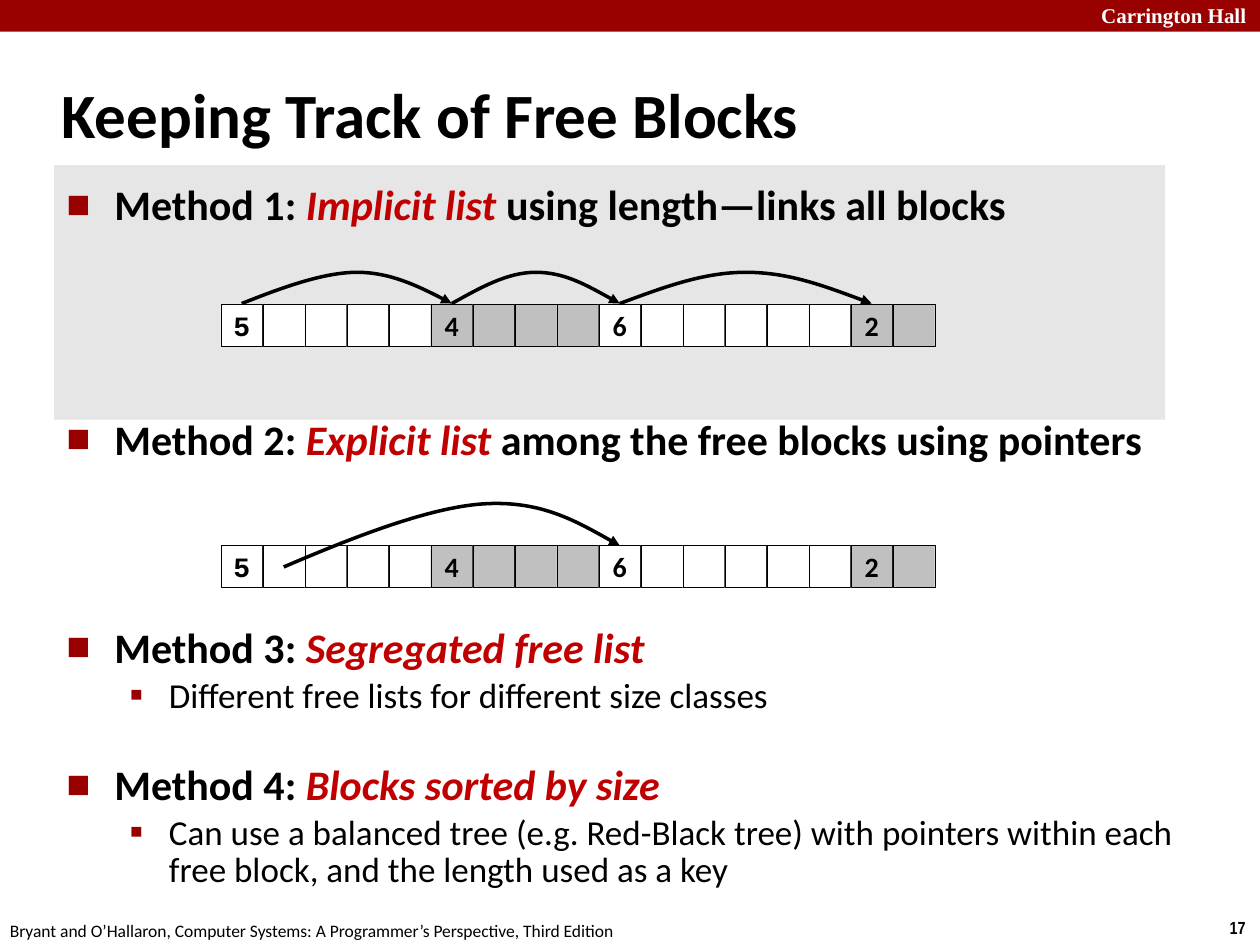
"""Build the slide on four ways of keeping track of free blocks."""
from lxml.etree import SubElement
from pptx import Presentation
from pptx.dml.color import RGBColor
from pptx.enum.shapes import MSO_SHAPE
from pptx.enum.text import MSO_ANCHOR, MSO_AUTO_SIZE, PP_ALIGN
from pptx.oxml.ns import qn
from pptx.util import Cm, Pt

BLACK = RGBColor(0, 0, 0)
WHITE = RGBColor(255, 255, 255)
MAROON = RGBColor(0x99, 0, 0)
RED = RGBColor(0xC0, 0, 0)
PALE = RGBColor(0xE6, 0xE6, 0xE6)
GREY = RGBColor(0xC0, 0xC0, 0xC0)


def write(para, text, size, color=BLACK, name="Calibri", bold=False, italic=False):
    run = para.add_run()
    run.text = text
    style = {"size": Pt(size), "name": name, "bold": bold, "italic": italic}
    for key, value in style.items():
        setattr(run.font, key, value)
    run.font.color.rgb = color


def block(left, top, width, height, fill):
    shape = slide.shapes.add_shape(MSO_SHAPE.RECTANGLE, left, top, width, height)
    shape.shadow.inherit = False
    shape.fill.solid()
    shape.fill.fore_color.rgb = fill
    shape.line.fill.background()
    return shape


deck = Presentation()
deck.slide_width, deck.slide_height = Cm(25.4), Cm(19.05)
slide = deck.slides.add_slide(deck.slide_layouts[1])
title, body = slide.placeholders

frames = [
    (title, MSO_ANCHOR.MIDDLE, {"left": 0.99, "top": 1.22, "width": 21.08, "height": 2.11}),
    (body, MSO_ANCHOR.TOP, {"left": 1.09, "top": 3.48, "width": 23.04, "height": 14.94}),
]
for holder, anchor, place in frames:
    for key, value in place.items():
        setattr(holder, key, Cm(value))
    holder.text_frame.auto_size = MSO_AUTO_SIZE.NONE
    holder.text_frame.vertical_anchor = anchor

band = block(0, 0, Cm(25.4), Cm(0.64), MAROON)
panel = block(Cm(1.09), Cm(3.33), Cm(22.4), Cm(5.13), PALE)
for shape in (band, panel):
    title.element.addprevious(shape.element)

head = title.text_frame.paragraphs[0]
head.alignment = PP_ALIGN.LEFT
write(head, "Keeping Track of Free Blocks", 36, bold=True)

notes = [
    (21.95, -0.08, 3.63, True, PP_ALIGN.LEFT, "Carrington Hall", 12, WHITE, "Times New Roman", True),
    (24.54, 18.36, 0.86, False, PP_ALIGN.LEFT, "17", 10, BLACK, "Arial Narrow", True),
    (-0.05, 18.42, 12.9, False, PP_ALIGN.LEFT,
     "Bryant and O’Hallaron, Computer Systems: A Programmer’s Perspective, Third Edition",
     10, BLACK, "Calibri", False),
]
for left, top, width, wrap, align, *style in notes:
    box = slide.shapes.add_textbox(Cm(left), Cm(top), Cm(width), Cm(0.7))
    box.text_frame.word_wrap = wrap
    para = box.text_frame.paragraphs[0]
    para.alignment = align
    write(para, *style)

levels = [
    {"size": 24, "left": 0.96, "hang": 0.96, "char": "■", "scale": 60},
    {"size": 20, "left": 2.06, "hang": 0.79, "char": "▪", "scale": 110},
]
items = [
    (0, 4.8, 1.0, ["Method 1: ", "Implicit list ", "using length—links all blocks"]),
    (0, 105, 1.0, ["Method 2: ", "Explicit list ", "among the free blocks using pointers"]),
    (0, 95, 0.83, ["Method 3: ", "Segregated free list"]),
    (1, 4, 0.88, ["Different free lists for different size classes"]),
    (0, 29.5, 0.83, ["Method 4: ", "Blocks sorted by size"]),
    (1, 4, 0.88, ["Can use a balanced tree (e.g. Red-Black tree) with pointers within each "
                  "free block, and the length used as a key"]),
]
for index, (level, before, pitch, parts) in enumerate(items):
    text = body.text_frame
    para = text.add_paragraph() if index else text.paragraphs[0]
    look = levels[level]
    for key, value in {"level": level, "space_before": Pt(before), "line_spacing": pitch}.items():
        setattr(para, key, value)
    for place, part in enumerate(parts):
        key = place == 1
        write(para, part, look["size"], RED if key else BLACK, bold=level == 0, italic=key)
    props = para._p.get_or_add_pPr()
    props.set("marL", str(Cm(look["left"])))
    props.set("indent", str(-Cm(look["hang"])))
    SubElement(SubElement(props, qn("a:buClr")), qn("a:srgbClr"), val=str(MAROON))
    SubElement(props, qn("a:buSzPct"), val=str(look["scale"] * 1000))
    SubElement(props, qn("a:buFont"), typeface="Calibri")
    SubElement(props, qn("a:buChar"), char=look["char"])

SIDE = Cm(2.54) // 3
START = Cm(4.45)
runs = [(5, WHITE), (4, GREY), (6, WHITE), (2, GREY)]
labels = {0: "5", 5: "4", 9: "6", 15: "2"}
fills = [fill for count, fill in runs for step in range(count)]
for top in (Cm(6.14), Cm(11.0)):
    for index, fill in enumerate(fills):
        cell = block(START + index * SIDE, top, SIDE, SIDE, fill)
        cell.line.color.rgb = BLACK
        cell.line.width = Pt(0.25)
        if index in labels:
            cell.text_frame.word_wrap = False
            cell.text_frame.vertical_anchor = MSO_ANCHOR.MIDDLE
            para = cell.text_frame.paragraphs[0]
            para.alignment = PP_ALIGN.CENTER
            face = "Calibri" if index else "Courier New"
            write(para, labels[index], 16, name=face, bold=True)

HOP = [6.12, 5.8, 5.49, 5.49, 5.49, 5.8, 6.12]
EVEN = [0, 0.17, 0.33, 0.5, 0.67, 0.83, 1]
arcs = [
    (0, 5, [0, 0.19, 0.39, 0.55, 0.7, 0.86, 1], HOP),
    (5, 9, EVEN, HOP),
    (9, 15, EVEN, HOP),
    (1, 9, [0, 0.21, 0.43, 0.59, 0.76, 0.88, 1],
     [11.43, 10.82, 10.24, 10.16, 10.08, 10.54, 11.0]),
]
for first, last, shares, heights in arcs:
    base = START + (first + 0.5) * SIDE
    span = (last - first) * SIDE
    dots = [(int(base + span * share), Cm(high)) for share, high in zip(shares, heights)]
    pen = slide.shapes.build_freeform(*dots[0])
    pen.add_line_segments(dots[1:], close=False)
    arc = pen.convert_to_shape()
    arc.shadow.inherit = False
    arc.fill.background()
    arc.line.color.rgb = BLACK
    arc.line.width = Pt(2)
    track = next(arc.element.iter(qn("a:path")))
    legs = track.findall(qn("a:lnTo"))
    for start in range(0, len(legs), 3):
        curve = SubElement(track, qn("a:cubicBezTo"))
        for leg in legs[start:start + 3]:
            curve.append(leg[0])
            track.remove(leg)
    SubElement(arc.line._get_or_add_ln(), qn("a:tailEnd"), type="triangle")

deck.save("out.pptx")
